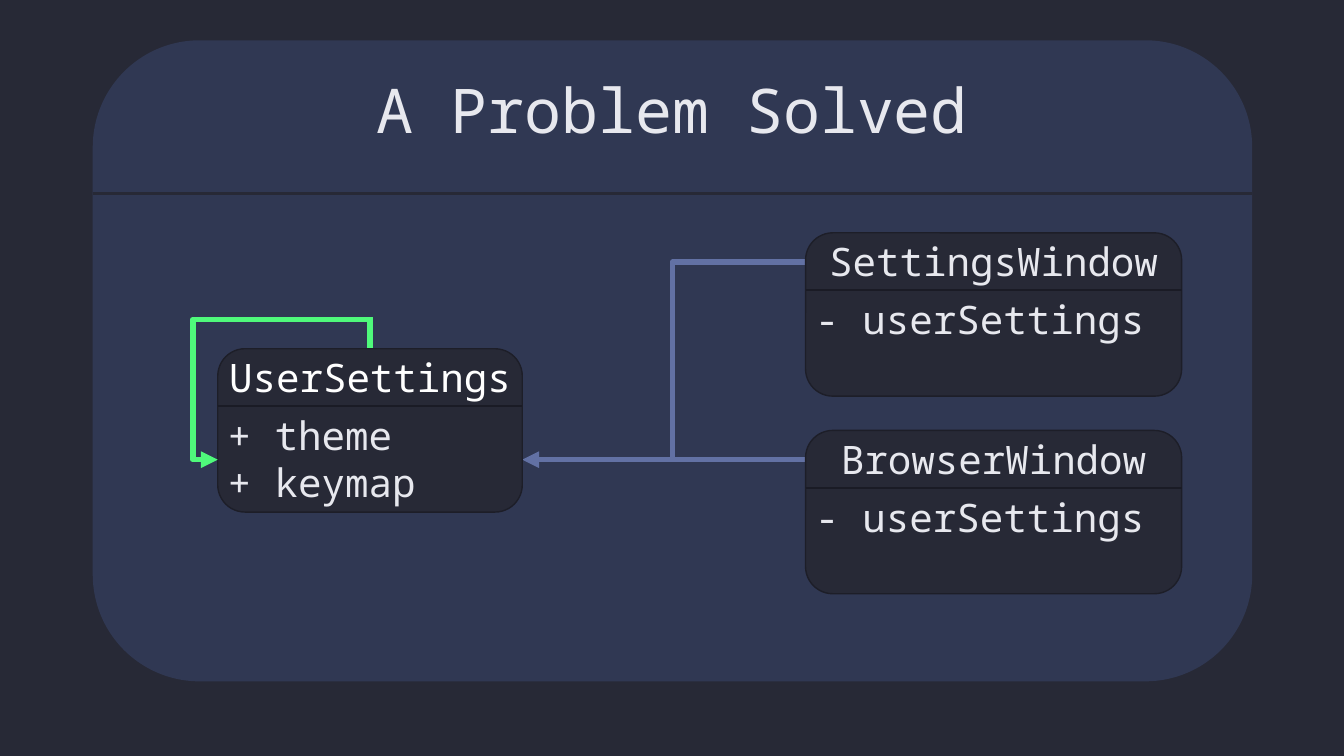
from lxml.etree import SubElement
from pptx import Presentation
from pptx.dml.color import RGBColor
from pptx.enum.shapes import MSO_CONNECTOR, MSO_SHAPE
from pptx.enum.text import MSO_ANCHOR, PP_ALIGN
from pptx.oxml.ns import qn
from pptx.util import Inches, Pt

FONT = "Noto Sans Mono"
COLORS = {
    "background": "272936",
    "panel": "303853",
    "card_border": "1D1E28",
    "card_divider": "1A1B25",
    "text": "E7E8EE",
    "white": "FFFFFF",
    "reference": "6271A4",
    "self_reference": "4FF97B",
}
CARD_HEIGHT = 1.62
HEADER_HEIGHT = 0.57


def color(name):
    """Return the named colour."""
    return RGBColor.from_string(COLORS[name])


def format_paragraph(paragraph, size, ink="text", align=PP_ALIGN.LEFT):
    """Set font, colour and alignment of a paragraph."""
    paragraph.alignment = align
    paragraph.font.name = FONT
    paragraph.font.size = Pt(size)
    paragraph.font.color.rgb = color(ink)


def add_rounded_box(shapes, left, top, width, height, fill, border=None):
    """Add a flat rounded rectangle."""
    box = shapes.add_shape(MSO_SHAPE.ROUNDED_RECTANGLE, Inches(left),
                           Inches(top), Inches(width), Inches(height))
    box.shadow.inherit = False
    box.fill.solid()
    box.fill.fore_color.rgb = color(fill)
    if border:
        box.line.color.rgb = color(border)
        box.line.width = Pt(1)
    else:
        box.line.fill.background()


def add_line(shapes, start, end, ink, width, arrow=False, bend=None):
    """Add a line, or an elbow turning at the fraction bend of its width."""
    kind = MSO_CONNECTOR.STRAIGHT if bend is None else MSO_CONNECTOR.ELBOW
    line = shapes.add_connector(kind, *map(Inches, start + end))
    line.line.color.rgb = color(ink)
    line.line.width = Pt(width)
    properties = line.element.spPr
    if arrow:
        SubElement(properties.find(qn("a:ln")), qn("a:tailEnd"), type="triangle")
    SubElement(properties, qn("a:effectLst"))
    if bend is not None:
        guides = properties.find(qn("a:prstGeom")).get_or_add_avLst()
        SubElement(guides, qn("a:gd"), name="adj1",
                   fmla=f"val {round(bend * 100000)}")


def add_text(shapes, left, top, width, height, lines, ink="text",
             align=PP_ALIGN.LEFT, wrap=True):
    """Add a text box with one paragraph per line."""
    frame = shapes.add_textbox(Inches(left), Inches(top), Inches(width),
                               Inches(height)).text_frame
    frame.word_wrap = wrap
    frame.text = "\n".join(lines)
    for paragraph in frame.paragraphs:
        format_paragraph(paragraph, 28, ink, align)


def add_class_card(slide, left, top, width, name, fields, ink="text", wrap=True):
    """Add a grouped class box: name, divider and fields."""
    shapes = slide.shapes.add_group_shape().shapes
    divider = top + HEADER_HEIGHT
    add_rounded_box(shapes, left, top, width, CARD_HEIGHT,
                    "background", "card_border")
    add_text(shapes, left, top, width, HEADER_HEIGHT, [name], ink,
             PP_ALIGN.CENTER, wrap)
    add_text(shapes, left, divider, width, 0.1 + 0.47 * len(fields), fields)
    add_line(shapes, (left, divider), (left + width, divider),
             "card_divider", 1.5)


def add_title(slide, text):
    """Fill the title placeholder and bring it in front of the panel."""
    title = slide.shapes.title
    title.left, title.top = Inches(1.29), Inches(0.4)
    title.width, title.height = Inches(10.76), Inches(1.45)
    title.text_frame.text = text
    title.text_frame.vertical_anchor = MSO_ANCHOR.MIDDLE
    heading = title.text_frame.paragraphs[0]
    format_paragraph(heading, 44, align=PP_ALIGN.CENTER)
    heading.line_spacing = 0.9
    title.element.getparent().append(title.element)


def main():
    """Build the slide and save it."""
    deck = Presentation()
    deck.slide_width, deck.slide_height = Inches(13.33), Inches(7.5)
    slide = deck.slides.add_slide(deck.slide_layouts[5])
    slide.background.fill.solid()
    slide.background.fill.fore_color.rgb = color("background")
    shapes = slide.shapes

    add_rounded_box(shapes, 0.92, 0.4, 11.5, 6.36, "panel")
    add_line(shapes, (0.92, 1.92), (12.42, 1.92), "background", 2.25)
    add_title(slide, "A Problem Solved")

    add_line(shapes, (7.99, 2.6), (5.35, 4.56), "reference", 4, bend=0.5)
    add_line(shapes, (7.99, 4.56), (5.18, 4.56), "reference", 4, arrow=True)
    add_line(shapes, (3.67, 3.46), (3.67, 3.16), "self_reference", 4)

    for name, top in (("SettingsWindow", 2.31), ("BrowserWindow", 4.27)):
        add_class_card(slide, 7.99, top, 3.73, name, ["- userSettings"])
    add_class_card(slide, 2.16, 3.46, 3.02, "UserSettings",
                   ["+ theme", "+ keymap"], "white", wrap=False)
    add_line(shapes, (3.7, 3.17), (2.16, 4.56), "self_reference", 4,
             arrow=True, bend=1.16)

    deck.save("out.pptx")


main()
